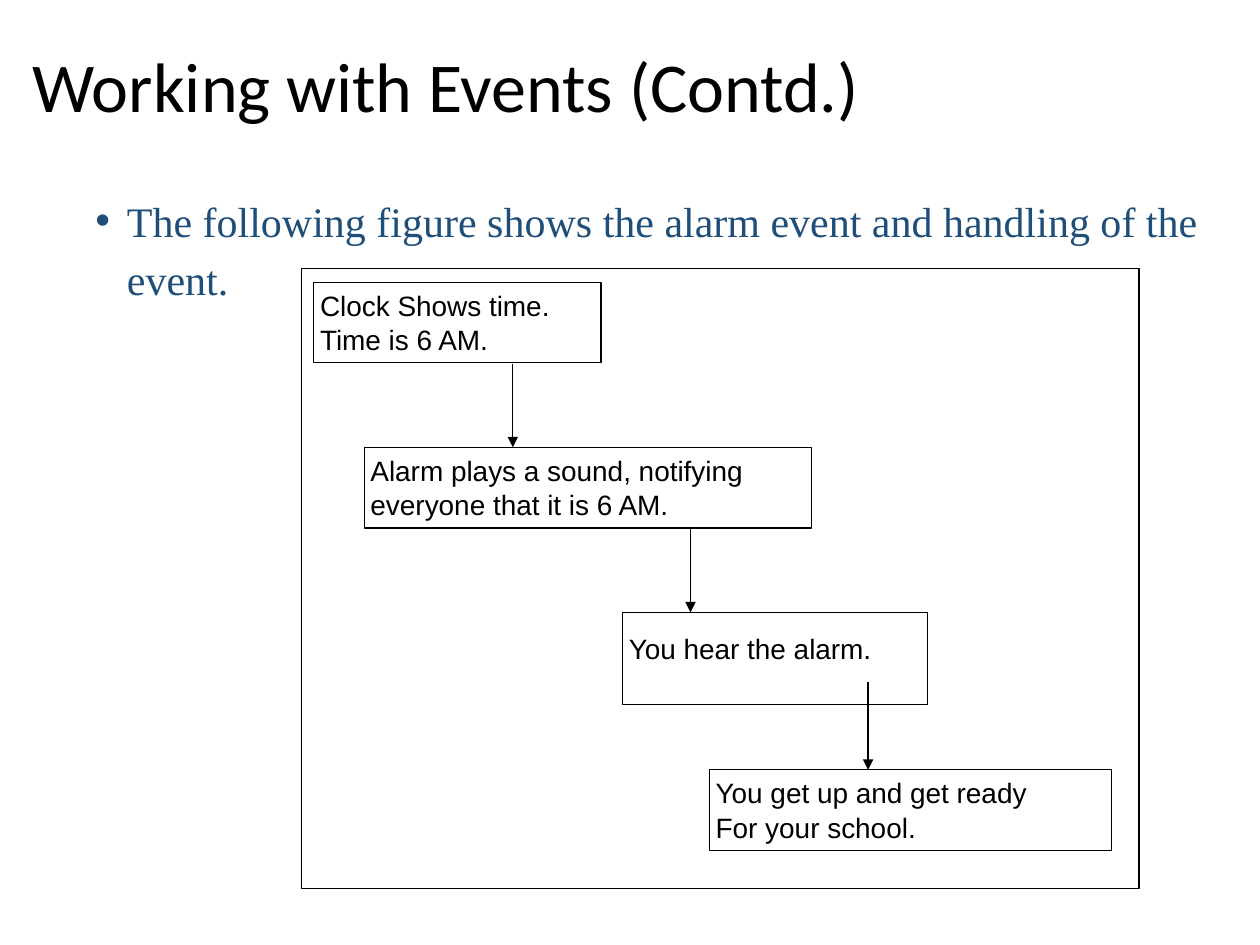
from dataclasses import dataclass

from lxml.etree import SubElement
from pptx import Presentation
from pptx.dml.color import RGBColor
from pptx.enum.shapes import MSO_CONNECTOR as Conn, MSO_SHAPE as Shape
from pptx.enum.text import MSO_ANCHOR as Anchor, MSO_AUTO_SIZE as Auto, PP_ALIGN as Align
from pptx.oxml.ns import qn
from pptx.util import Inches, Pt

COLORS = {"ink": "000000", "blue": "1F4E79"}
COLS, ROWS = 100, 75

prs = Presentation()
prs.slide_width, prs.slide_height = Inches(10), Inches(7.5)


@dataclass
class Step:
    col: float
    row: float
    cols: float
    rows: float
    lines: tuple[str, ...]
    top_inset: float = 0.05


@dataclass
class Arrow:
    col: float
    start: float
    end: float


STEPS = [
    Step(24.9, 22.4, 22.8, 6.4, ("Clock Shows time.", "Time is 6 AM.")),
    Step(28.9, 35.5, 35.5, 6.4, ("Alarm plays a sound, notifying", "everyone that it is 6 AM.")),
    Step(49.4, 48.6, 24.2, 7.3, ("You hear the alarm.",), 0.15),
    Step(56.3, 61.1, 31.9, 6.4, ("You get up and get ready", "For your school.")),
]
ARROWS = [Arrow(40.7, 28.9, 35.5), Arrow(54.8, 42, 48.6), Arrow(68.9, 54.1, 61.1)]


def x(cols: float) -> int:
    return round(prs.slide_width * cols / COLS)


def y(rows: float) -> int:
    return round(prs.slide_height * rows / ROWS)


def rgb(name: str) -> RGBColor:
    return RGBColor.from_string(COLORS[name])


def add_run(p, text: str, font: str, size: float, color: str) -> None:
    r = p.add_run()
    r.text = text
    r.font.name, r.font.size = font, Pt(size)
    r.font.color.rgb = rgb(color)


def add_title(s, text: str) -> None:
    sp = s.shapes.title
    sp.left, sp.top, sp.width, sp.height = x(1.6), y(1.1), x(97.4), y(12)
    tf = sp.text_frame
    tf.auto_size, tf.vertical_anchor = Auto.NONE, Anchor.MIDDLE
    p = tf.paragraphs[0]
    p.alignment, p.line_spacing = Align.LEFT, 0.9
    add_run(p, text, "Calibri", 40, "ink")


def add_bullet(s, text: str) -> None:
    tf = s.shapes.add_textbox(x(1.6), y(14.4), x(97.4), y(59.1)).text_frame
    tf.word_wrap = True
    p = tf.paragraphs[0]
    p.line_spacing = 1.15
    pr = p._p.get_or_add_pPr()
    pr.set("marL", str(Inches(0.75)))
    pr.set("indent", str(Inches(-0.25)))
    SubElement(SubElement(pr, qn("a:buClr")), qn("a:srgbClr"), val=COLORS["blue"])
    SubElement(pr, qn("a:buFont"), typeface="Arial")
    SubElement(pr, qn("a:buChar"), char="•")
    add_run(p, text, "Times New Roman", 24, "blue")


def add_box(s, col: float, row: float, cols: float, rows: float):
    sp = s.shapes.add_shape(Shape.RECTANGLE, x(col), y(row), x(cols), y(rows))
    sp.shadow.inherit = False
    sp.fill.background()
    sp.line.color.rgb = rgb("ink")
    sp.line.width = Pt(0.75)
    return sp


def add_step(s, step: Step) -> None:
    tf = add_box(s, step.col, step.row, step.cols, step.rows).text_frame
    tf.word_wrap, tf.vertical_anchor = True, Anchor.TOP
    tf.margin_left = tf.margin_right = tf.margin_bottom = Inches(0.05)
    tf.margin_top = Inches(step.top_inset)
    for i, line in enumerate(step.lines):
        p = tf.add_paragraph() if i else tf.paragraphs[0]
        p.alignment = Align.LEFT
        if i:
            p.space_before = Pt(0.4)
        add_run(p, line, "Arial", 16, "ink")


def add_arrow(s, arrow: Arrow) -> None:
    cx = s.shapes.add_connector(
        Conn.STRAIGHT, x(arrow.col), y(arrow.start), x(arrow.col), y(arrow.end))
    cx.line.color.rgb = rgb("ink")
    cx.line.width = Pt(0.75)
    SubElement(cx.line._get_or_add_ln(), qn("a:tailEnd"), type="triangle")
    SubElement(cx._element.spPr, qn("a:effectLst"))


def main() -> None:
    s = prs.slides.add_slide(prs.slide_layouts[5])
    add_title(s, "Working with Events (Contd.)")
    add_bullet(s, "The following figure shows the alarm event and handling of the event.")
    for step in STEPS:
        add_step(s, step)
    for arrow in ARROWS:
        add_arrow(s, arrow)
    add_box(s, 23.9, 21.3, 66.5, 49.2)
    prs.save("out.pptx")


if __name__ == "__main__":
    main()
